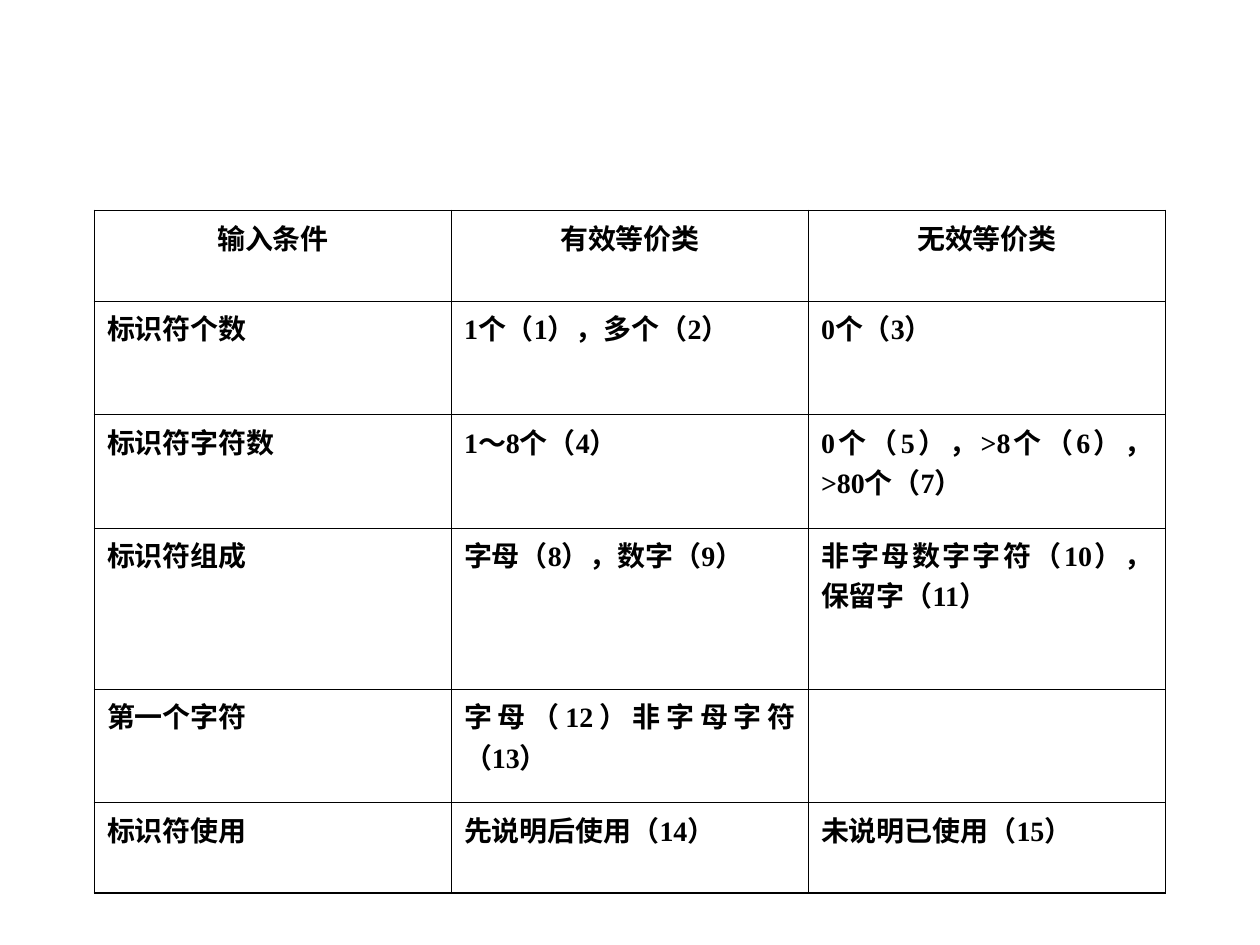
from lxml import etree
from pptx import Presentation
from pptx.dml.color import RGBColor
from pptx.enum.lang import MSO_LANGUAGE_ID
from pptx.enum.text import PP_ALIGN
from pptx.oxml.ns import qn
from pptx.util import Emu, Pt

CENTER, JUSTIFY = PP_ALIGN.CENTER, PP_ALIGN.JUSTIFY
ZH = MSO_LANGUAGE_ID.SIMPLIFIED_CHINESE
BLACK = RGBColor(0, 0, 0)
THIN, THICK = Pt(0.45), Pt(1.08)
FONT = {"name": "Times New Roman", "size": Pt(16), "bold": True, "language_id": ZH}

LEFT, TOP, TABLE_W = 75, 167, 850
ROW_H = [72, 90, 90, 128, 90, 72]
ROWS = [
    ["输入条件", "有效等价类", "无效等价类"],
    ["标识符个数", "1个（1），多个（2）", "0个（3）"],
    ["标识符字符数", "1～8个（4）", "0个（5），>8个（6），>80个（7）"],
    ["标识符组成", "字母（8），数字（9）", "非字母数字字符（10），保留字（11）"],
    ["第一个字符", "字母（12）非字母字符（13）", ""],
    ["标识符使用", "先说明后使用（14）", "未说明已使用（15）"],
]


def px(n):
    return Emu(round(n * 9144))


def set_borders(cell, widths):
    """Draw the cell's edges; widths are in the order left, right, top, bottom."""
    tcPr = cell._tc.get_or_add_tcPr()
    for i, (side, width) in enumerate(zip("LRTB", widths)):
        ln = etree.Element(qn(f"a:ln{side}"), w=str(int(width)))
        fill = etree.SubElement(ln, qn("a:solidFill"))
        etree.SubElement(fill, qn("a:srgbClr"), val=str(BLACK))
        tcPr.insert(i, ln)


prs = Presentation()
prs.slide_width, prs.slide_height = px(1000), px(750)
s = prs.slides.add_slide(prs.slide_layouts[6])

n_rows, n_cols = len(ROWS), len(ROWS[0])
table = s.shapes.add_table(n_rows, n_cols, px(LEFT), px(TOP),
                           px(TABLE_W), px(sum(ROW_H))).table
table.first_row = table.horz_banding = False
for col in table.columns:
    col.width = px(TABLE_W / n_cols)

for i, (texts, height) in enumerate(zip(ROWS, ROW_H)):
    table.rows[i].height = px(height)
    for j, text in enumerate(texts):
        cell = table.cell(i, j)
        cell.fill.background()
        outer = [j == 0, j == n_cols - 1, i == 0, i == n_rows - 1]
        set_borders(cell, [THICK if edge else THIN for edge in outer])
        if not text:
            continue
        p = cell.text_frame.paragraphs[0]
        p.alignment = CENTER if i == 0 else JUSTIFY
        # Keep closing punctuation inside the cell margin
        p._p.get_or_add_pPr().set("hangingPunct", "0")
        r = p.add_run()
        r.text = text
        for key, value in FONT.items():
            setattr(r.font, key, value)
        r.font.color.rgb = BLACK

prs.save("out.pptx")
